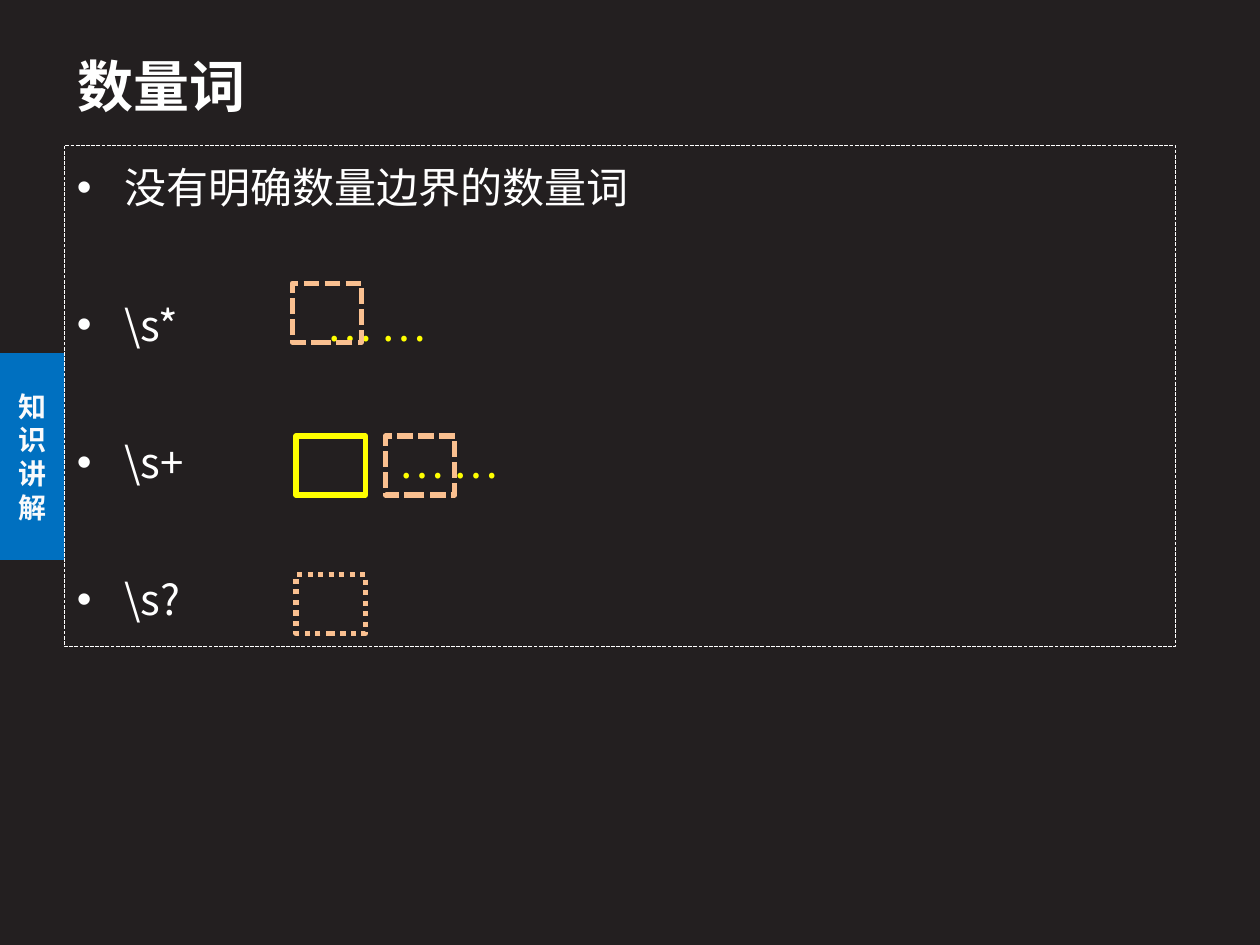
"""Build a slide on regular-expression quantifiers without fixed bounds."""
from lxml import etree
from pptx import Presentation
from pptx.dml.color import RGBColor
from pptx.enum import shapes, text
from pptx.oxml.ns import qn
from pptx.util import Cm, Pt

FONT = "Noto Sans CJK SC"
COLORS = {"back": "231F20", "white": "FFFFFF", "label": "F9FAFB",
          "blue": "0070C0", "yellow": "FFFF00", "peach": "FAC090"}
TITLE = "数量词"
SIDE_LABEL = "知识讲解"
DOTS = "… …"
BULLETS = [  # text, dots, tab stop
    ("没有明确数量边界的数量词", "", 0),
    (r"\s*", DOTS, 5.05),
    (r"\s+", DOTS, 6.5),
    (r"\s?", "", 0),
]
SQUARES = [
    (5.89, 5.71, "peach", "sysDash"),
    (5.97, 8.79, "yellow", "solid"),
    (7.77, 8.79, "peach", "sysDash"),
    (5.97, 11.58, "peach", "sysDot"),
]
SQUARE_SIZE = (1.4, 1.19)


def color(name):
    return RGBColor.from_string(COLORS[name])


def add_box(page, place, fill=None, line=None, width=1, dash="solid"):
    box = page.shapes.add_shape(shapes.MSO_SHAPE.RECTANGLE, *map(Cm, place))
    box.shadow.inherit = False
    if fill:
        box.fill.solid()
        box.fill.fore_color.rgb = color(fill)
    else:
        box.fill.background()
    if line:
        box.line.color.rgb = color(line)
        box.line.width = Pt(width)
        outline = box.line._get_or_add_ln()
        etree.SubElement(outline, qn("a:prstDash"), val=dash)
    else:
        box.line.fill.background()
    return box


def add_text(para, words, size=24, fill="white", bold=False):
    span = para.add_run()
    span.text = words
    span.font.size, span.font.bold, span.font.name = Pt(size), bold, FONT
    span.font.color.rgb = color(fill)
    for tag in ("a:ea", "a:cs"):
        etree.SubElement(span.font._element, qn(tag), typeface=FONT)


def set_bullet(para, tab):
    props = para._p.get_or_add_pPr()
    props.set("marL", str(Cm(0.96)))
    props.set("indent", str(-Cm(0.96)))
    etree.SubElement(props, qn("a:buFont"), typeface="Arial")
    etree.SubElement(props, qn("a:buChar"), char="•")
    if tab:
        tabs = etree.SubElement(props, qn("a:tabLst"))
        etree.SubElement(tabs, qn("a:tab"), pos=str(Cm(tab)), algn="l")


def add_title(page):
    box = page.shapes.title
    box.left, box.top, box.width, box.height = map(Cm, (1.3, 0.73, 18.8, 1.98))
    box.text_frame.vertical_anchor = text.MSO_ANCHOR.MIDDLE
    para = box.text_frame.paragraphs[0]
    para.alignment = text.PP_ALIGN.LEFT
    add_text(para, TITLE, size=32, bold=True)


def add_side_label(page):
    box = add_box(page, (0, 7.12, 1.3, 4.17), fill="blue")
    box.text_frame.word_wrap = True
    box.text_frame.vertical_anchor = text.MSO_ANCHOR.MIDDLE
    para = box.text_frame.paragraphs[0]
    para.alignment = text.PP_ALIGN.CENTER
    add_text(para, SIDE_LABEL, size=16, fill="label", bold=True)


def add_body(page):
    box = add_box(page, (1.3, 2.93, 22.4, 10.1),
                  line="white", width=0.75, dash="sysDash")
    frame = box.text_frame
    frame.word_wrap = True
    frame.vertical_anchor = text.MSO_ANCHOR.TOP
    for index, (words, dots, tab) in enumerate(BULLETS):
        para = frame.paragraphs[0] if index == 0 else frame.add_paragraph()
        para.alignment = text.PP_ALIGN.LEFT
        para.line_spacing = 1.2
        para.space_before = Pt(44 if index else 4.8)
        set_bullet(para, tab)
        add_text(para, words + ("\t" if dots else ""))
        if dots:
            add_text(para, dots, fill="yellow")


def main():
    deck = Presentation()
    deck.slide_width, deck.slide_height = Cm(25.4), Cm(19.05)
    page = deck.slides.add_slide(deck.slide_layouts[5])
    page.background.fill.solid()
    page.background.fill.fore_color.rgb = color("back")
    add_side_label(page)
    add_title(page)
    add_body(page)
    for left, top, line, dash in SQUARES:
        add_box(page, (left, top, *SQUARE_SIZE), line=line, width=3, dash=dash)
    deck.save("out.pptx")


if __name__ == "__main__":
    main()
